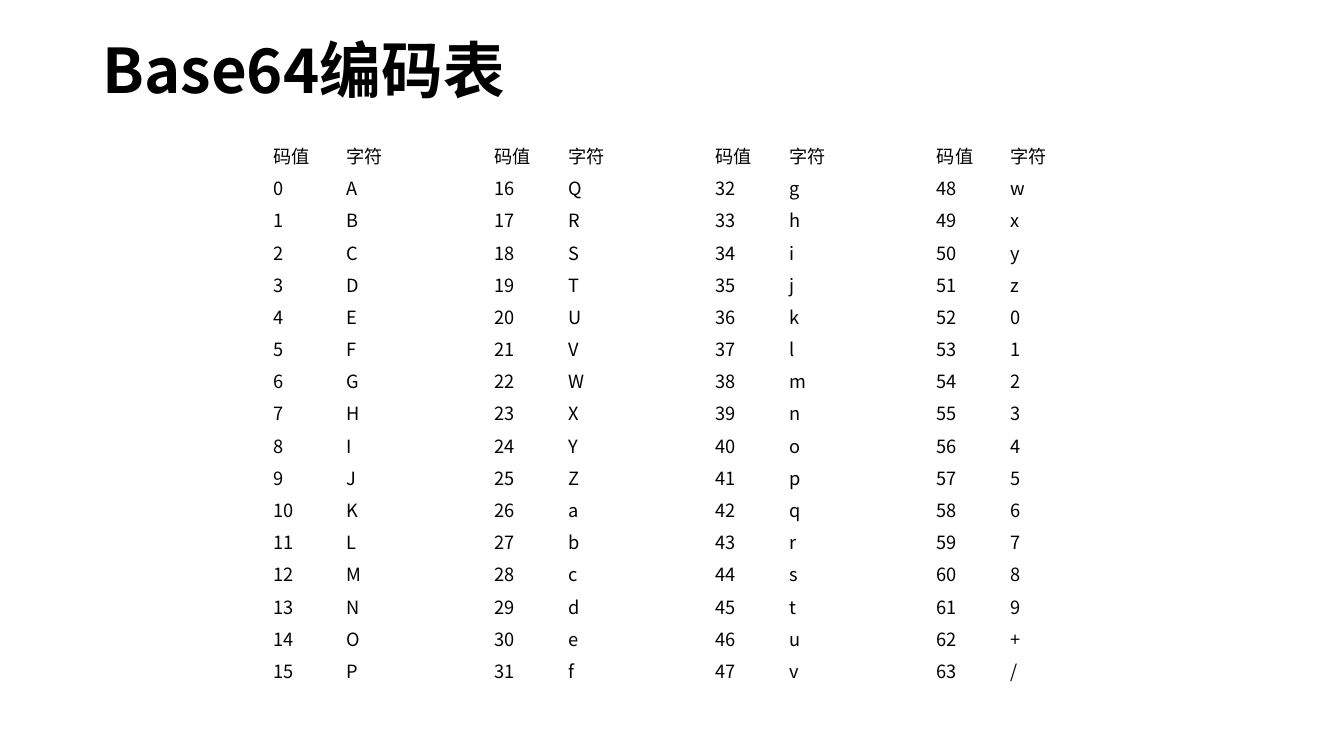
"""Build a slide showing the Base64 encoding table."""
from dataclasses import dataclass

from lxml import etree
from pptx import Presentation
from pptx import util as u
from pptx.dml.color import RGBColor
from pptx.enum import text
from pptx.oxml.ns import qn

TITLE = "Base64编码表"
HEADER = ("码值", "字符")
ALPHABET = "ABCDEFGHIJKLMNOPQRSTUVWXYZabcdefghijklmnopqrstuvwxyz0123456789+/"
GROUPS = 4
TITLE_BOX = (2.33, 0.84, 29.21, 2.03)
TABLE_BOX = (6.7, 3.5, 20.45, 13.79)


@dataclass(frozen=True)
class Theme:
    font: str = "Noto Sans CJK SC"
    ink: RGBColor = RGBColor(0, 0, 0)
    title: int = 44
    body: int = 13


THEME = Theme()


def add_run(p, content, size, bold=False):
    r = p.add_run()
    r.text = content
    r.font.name = THEME.font
    r.font.size = u.Pt(size)
    r.font.bold = bold
    r.font.color.rgb = THEME.ink
    etree.SubElement(r.font._element, qn("a:ea"), typeface=THEME.font)


def add_title(s):
    tf = s.shapes.add_textbox(*map(u.Cm, TITLE_BOX)).text_frame
    tf.word_wrap = True
    tf.margin_top = tf.margin_bottom = 0
    tf.vertical_anchor = text.MSO_ANCHOR.MIDDLE
    p = tf.paragraphs[0]
    p.line_spacing = 0.9
    add_run(p, TITLE, THEME.title, bold=True)


def fill_cell(cell, content):
    cell.fill.background()
    cell.vertical_anchor = text.MSO_ANCHOR.MIDDLE
    cell.margin_left = cell.margin_right = u.Cm(0.18)
    cell.margin_top, cell.margin_bottom = u.Cm(0.09), u.Cm(0.08)
    p = cell.text_frame.paragraphs[0]
    if content:
        add_run(p, content, THEME.body)
    else:
        etree.SubElement(p._p, qn("a:endParaRPr"), sz=str(THEME.body * 100))


def add_code_table(s):
    per_group = len(ALPHABET) // GROUPS
    rows, cols = per_group + 1, GROUPS * 3 - 1
    left, top, width, height = map(u.Cm, TABLE_BOX)
    table = s.shapes.add_table(rows, cols, left, top, width, height).table
    table.first_row = table.horz_banding = False
    for column in table.columns:
        column.width = width // cols
    for row in table.rows:
        row.height = height // rows

    for i in range(rows):
        for j in range(cols):
            group, part = divmod(j, 3)
            code = group * per_group + i - 1
            pair = HEADER if i == 0 else (str(code), ALPHABET[code])
            fill_cell(table.cell(i, j), pair[part] if part < 2 else "")
    for j in range(2, cols, 3):
        table.cell(0, j).merge(table.cell(rows - 1, j))


def main():
    prs = Presentation()
    prs.slide_width, prs.slide_height = u.Cm(33.87), u.Cm(19.05)
    s = prs.slides.add_slide(prs.slide_layouts[6])
    add_title(s)
    add_code_table(s)
    prs.save("out.pptx")


if __name__ == "__main__":
    main()
